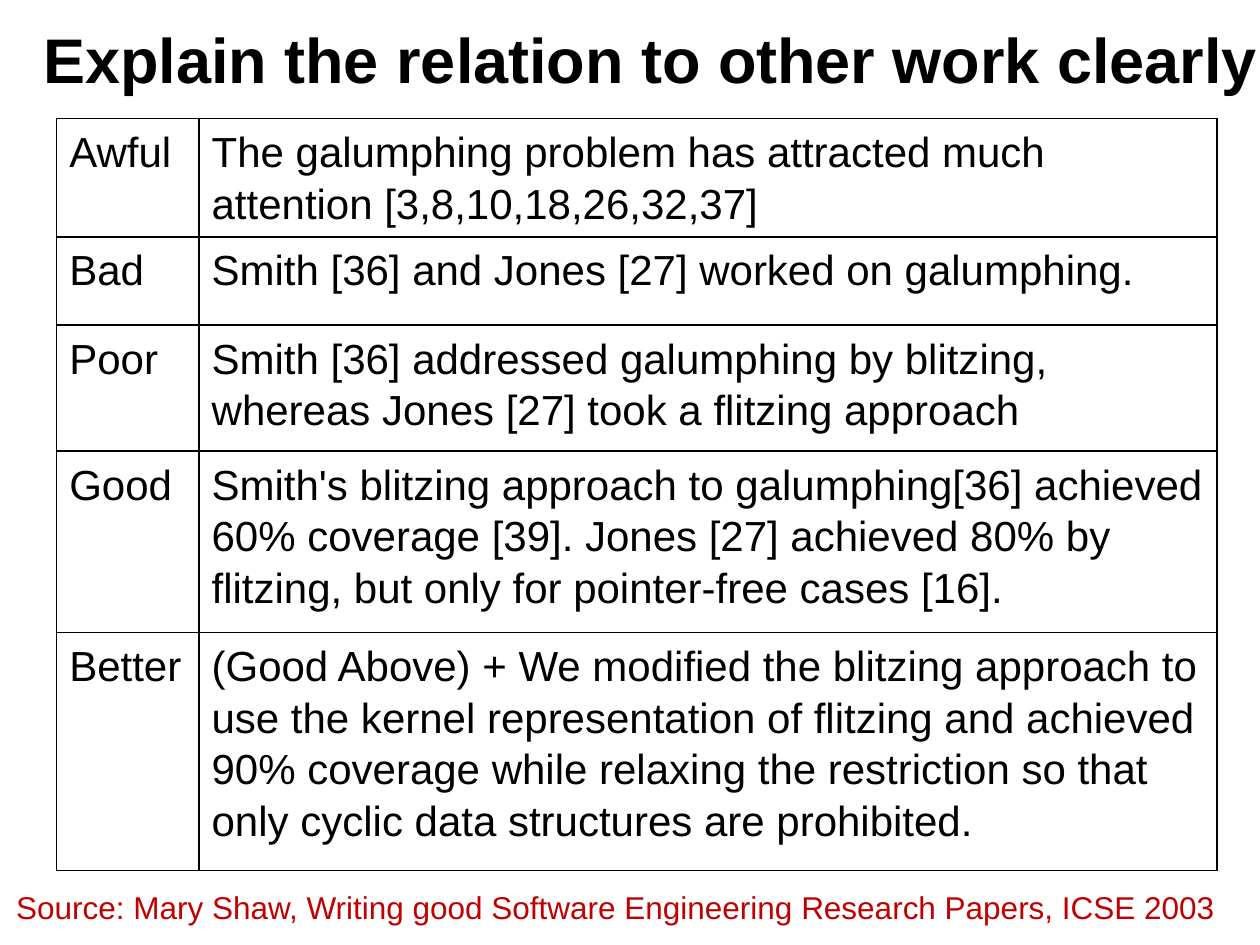
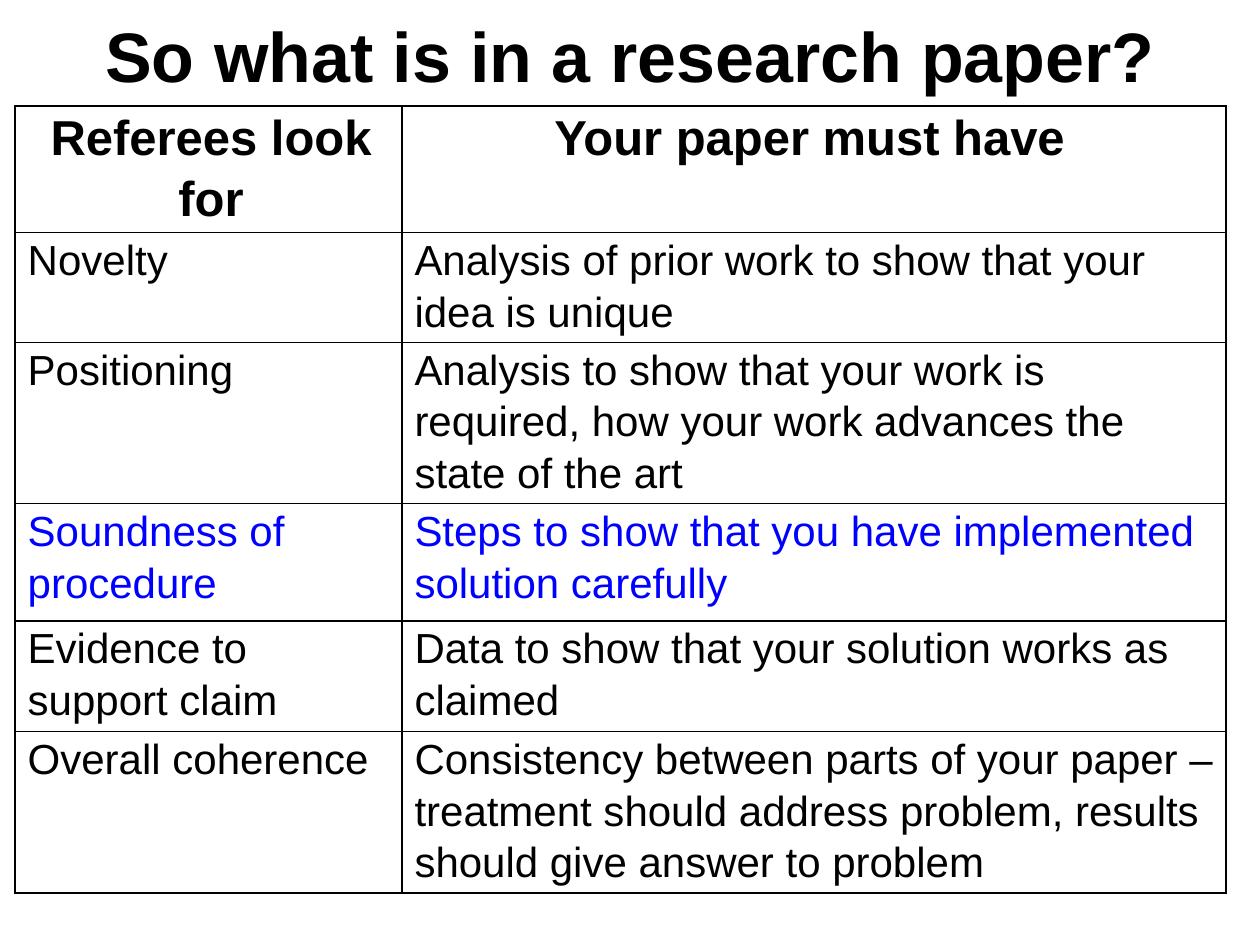
"""Build two slides of advice on writing research papers."""
from lxml.etree import SubElement
from pptx import Presentation
from pptx.dml.color import RGBColor
from pptx.enum.text import MSO_ANCHOR, PP_ALIGN
from pptx.oxml.ns import qn
from pptx.util import Inches, Pt

BLACK = RGBColor(0x00, 0x00, 0x00)
BLUE = RGBColor(0x00, 0x00, 0xFF)
RED = RGBColor(0xC0, 0x00, 0x00)
FONT = "Arial"
BODY_SIZE = 24
HEADER_SIZE = 28
LINE_PITCH = 1.23

RELATED_WORK = {
    "title": "Explain the relation to other work clearly",
    "title_size": 36,
    "title_box": (0, 0, 10.33, 0.92),
    "table_at": (0.45, 0.94),
    "columns": (1.13, 8.08),
    "row_heights": (0.94, 0.7, 1, 1.44, 1.89),
    "top_margin": 0.05,
    "has_header": False,
    "blue_rows": (),
    "rows": [
        ("Awful", "The galumphing problem has attracted much attention [3,8,10,18,26,32,37]"),
        ("Bad", "Smith [36] and Jones [27] worked on galumphing."),
        ("Poor", "Smith [36] addressed galumphing by blitzing, whereas Jones [27] took a "
                 "flitzing approach"),
        ("Good", "Smith's blitzing approach to galumphing[36] achieved 60% coverage [39]. "
                 "Jones [27] achieved 80% by flitzing, but only for pointer-free cases [16]."),
        ("Better", "(Good Above) + We modified the blitzing approach to use the kernel "
                   "representation of flitzing and achieved 90% coverage while relaxing the "
                   "restriction so that only cyclic data structures are prohibited."),
    ],
    "source": "Source: Mary Shaw, Writing good Software Engineering Research Papers, ICSE 2003",
}
PAPER_CONTENTS = {
    "title": "So what is in a research paper?",
    "title_size": 40,
    "title_box": (0.5, 0.05, 9, 0.77),
    "table_at": (0.12, 0.84),
    "columns": (3.07, 6.54),
    "row_heights": (1, 0.87, 1.27, 0.93, 0.88, 1.27),
    "top_margin": 0,
    "has_header": True,
    "blue_rows": (3,),
    "rows": [
        ("Referees look for", "Your paper must have "),
        ("Novelty ", "Analysis of prior work to show that your idea is unique"),
        ("Positioning", "Analysis to show that your work is required, how your work advances "
                        "the state of the art"),
        ("Soundness of procedure", "Steps to show that you have implemented solution carefully"),
        ("Evidence to support claim", "Data to show that your solution works as claimed"),
        ("Overall coherence", "Consistency between parts of your paper – treatment should "
                              "address problem, results should give answer to problem"),
    ],
    "source": None,
}
SOURCE_BOX = (0.03, 7, 9.8, 0.4)


def write(paragraph, text, size, color=BLACK, bold=False, align=PP_ALIGN.LEFT):
    paragraph.alignment = align
    run = paragraph.add_run()
    run.text = text
    run.font.name = FONT
    run.font.size = Pt(size)
    run.font.bold = bold
    run.font.color.rgb = color


def add_text(slide, box, text, size, anchor=MSO_ANCHOR.TOP, **style):
    frame = slide.shapes.add_textbox(*map(Inches, box)).text_frame
    frame.word_wrap = True
    frame.vertical_anchor = anchor
    write(frame.paragraphs[0], text, size, **style)


def draw_borders(cell):
    properties = cell._tc.get_or_add_tcPr()
    for side in ("a:lnL", "a:lnR", "a:lnT", "a:lnB"):
        line = SubElement(properties, qn(side), w=str(Pt(1)))
        fill = SubElement(line, qn("a:solidFill"))
        SubElement(fill, qn("a:srgbClr"), val=str(BLACK))


def fill_cell(cell, text, top_margin, color, is_header):
    cell.margin_left, cell.margin_right = Inches(0.1), Inches(0.06)
    cell.margin_top, cell.margin_bottom = Inches(top_margin), Inches(0.05)
    draw_borders(cell)
    cell.fill.background()
    size = HEADER_SIZE if is_header else BODY_SIZE
    paragraph = cell.text_frame.paragraphs[0]
    paragraph.line_spacing = Pt(size * LINE_PITCH)
    align = PP_ALIGN.CENTER if is_header else PP_ALIGN.LEFT
    write(paragraph, text, size, color, is_header, align)


def add_grid(slide, content):
    rows, columns, heights = content["rows"], content["columns"], content["row_heights"]
    box = (*content["table_at"], sum(columns), sum(heights))
    table = slide.shapes.add_table(len(rows), len(columns), *map(Inches, box)).table
    table.first_row = table.horz_banding = False
    for column, width in zip(table.columns, columns):
        column.width = Inches(width)
    for index, (texts, height) in enumerate(zip(rows, heights)):
        table.rows[index].height = Inches(height)
        color = BLUE if index in content["blue_rows"] else BLACK
        is_header = content["has_header"] and index == 0
        for cell, text in zip(table.rows[index].cells, texts):
            fill_cell(cell, text, content["top_margin"], color, is_header)


presentation = Presentation()
presentation.slide_width, presentation.slide_height = Inches(10), Inches(7.5)
for content in (RELATED_WORK, PAPER_CONTENTS):
    slide = presentation.slides.add_slide(presentation.slide_layouts[6])
    add_text(slide, content["title_box"], content["title"], content["title_size"],
             anchor=MSO_ANCHOR.MIDDLE, bold=True, align=PP_ALIGN.CENTER)
    add_grid(slide, content)
    if content["source"]:
        add_text(slide, SOURCE_BOX, content["source"], 18, color=RED)
presentation.save("out.pptx")
